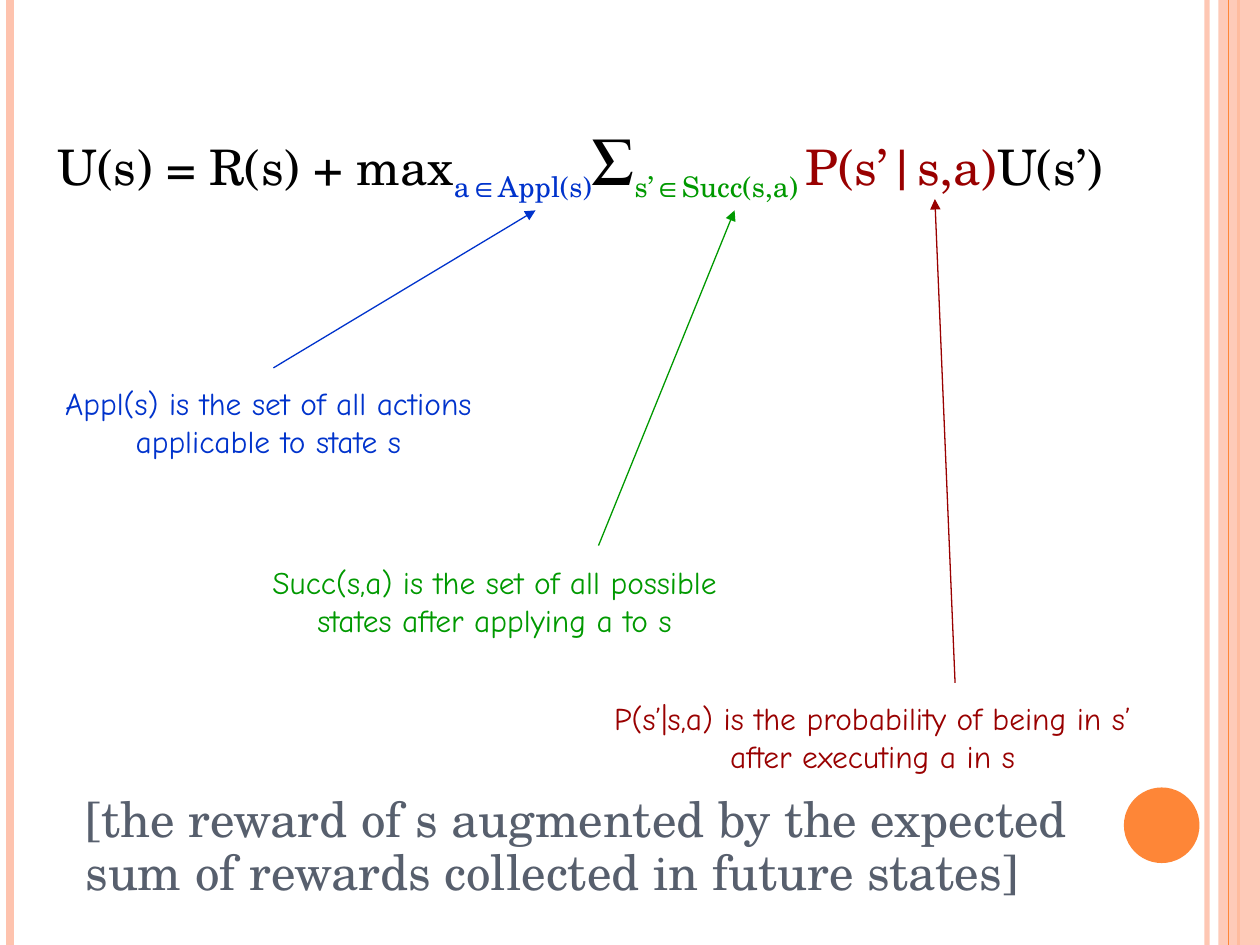
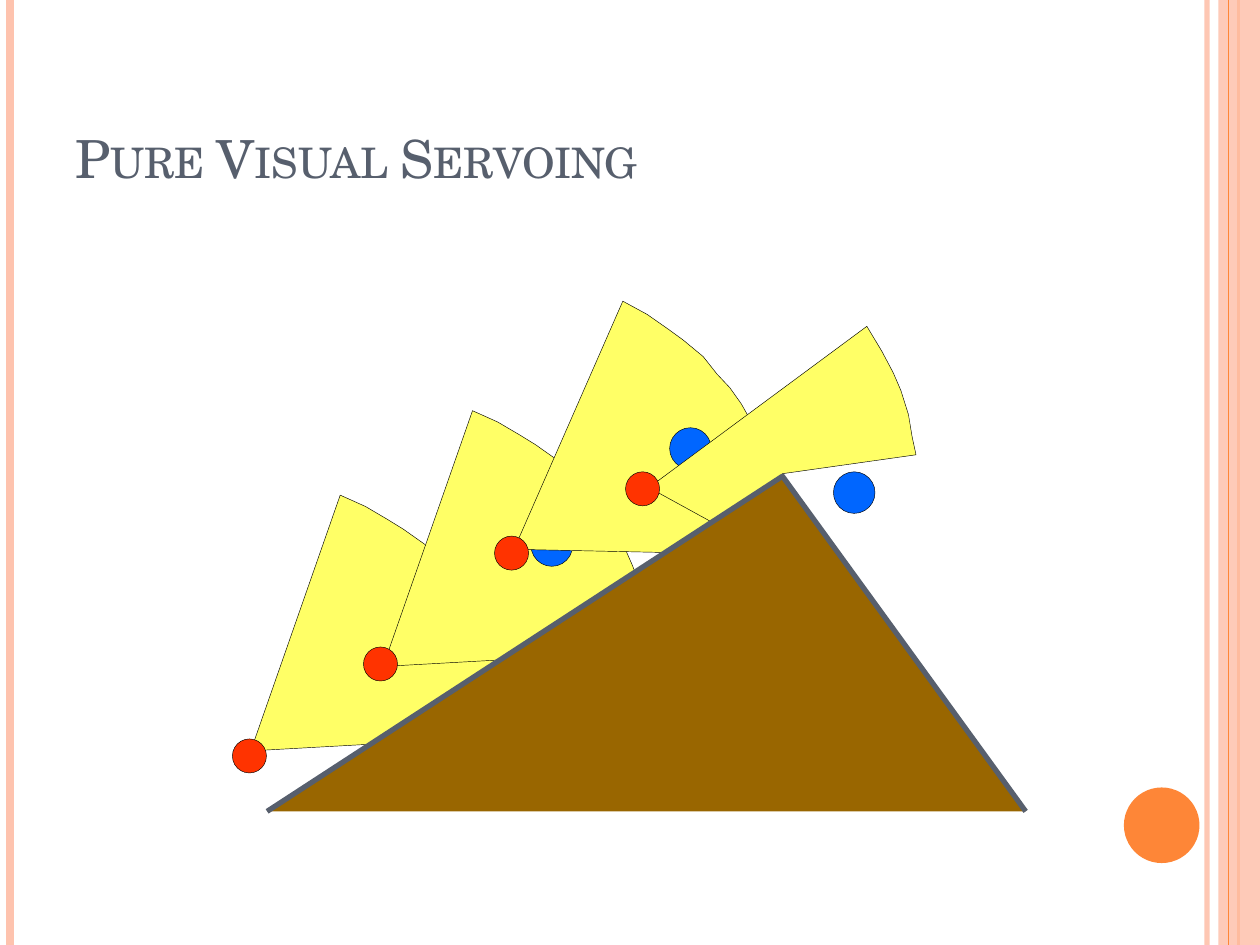
from math import cos, radians, sin

from lxml import etree
from pptx import Presentation
from pptx.dml.color import RGBColor
from pptx.enum.shapes import MSO_CONNECTOR, MSO_SHAPE
from pptx.enum.text import MSO_ANCHOR, PP_ALIGN
from pptx.oxml.ns import qn
from pptx.util import Inches, Pt

LINE, OVAL, RECT = MSO_CONNECTOR.STRAIGHT, MSO_SHAPE.OVAL, MSO_SHAPE.RECTANGLE
TOP, BOTTOM = MSO_ANCHOR.TOP, MSO_ANCHOR.BOTTOM
LEFT, CENTER = PP_ALIGN.LEFT, PP_ALIGN.CENTER

BLACK = RGBColor(0x00, 0x00, 0x00)
PEACH = RGBColor(0xFE, 0xC3, 0xAE)
ORANGE = RGBColor(0xFE, 0x86, 0x37)
SLATE = RGBColor(0x57, 0x5F, 0x6D)
NAVY = RGBColor(0x00, 0x33, 0xCC)
GREEN = RGBColor(0x00, 0x99, 0x00)
MAROON = RGBColor(0x99, 0x00, 0x00)
YELLOW = RGBColor(0xFF, 0xFF, 0x66)
BLUE = RGBColor(0x00, 0x66, 0xFF)
RED = RGBColor(0xFF, 0x33, 0x00)
BROWN = RGBColor(0x99, 0x66, 0x00)

SERIF, HAND = "TeX Gyre Schola", "Comic Neue"
WIDTH, HEIGHT = 10, 7.5

FAN = [(0, 0), (0.71, -2.03), (0.91, -1.94), (1.08, -1.84), (1.21, -1.76),
       (1.38, -1.64), (1.5, -1.51), (1.61, -1.41), (1.71, -1.29),
       (1.81, -1.14), (1.91, -0.96), (1.98, -0.8), (2.06, -0.59),
       (2.1, -0.43), (2.13, -0.26), (2.15, -0.12)]
CUT_FAN = [(0, 0), (1.73, -1.28), (1.85, -1.08), (1.94, -0.91),
           (2, -0.77), (2.06, -0.58), (2.09, -0.4), (2.12, -0.26),
           (1.06, -0.11), (1.13, 0.62)]
VIEWS = [
    (FAN, 0, (1.99, 5.96), (3.33, 5.07), (1.98, 6)),
    (FAN, 0, (3.04, 5.29), (4.38, 4.33), (3.02, 5.27)),
    (FAN, 4.4, (4.08, 4.36), (5.48, 3.56), (4.06, 4.39)),
    (CUT_FAN, 0, (5.15, 3.87), (6.78, 3.91), (5.1, 3.88)),
]


def fade(node, percent):
    """Set the opacity of the first colour inside a node."""
    color = next(node.iter(qn("a:srgbClr")))
    etree.SubElement(color, qn("a:alpha")).set("val", str(percent * 1000))


def paint(shape, fill, line=None, weight=0.25):
    """Give a shape a flat fill and an optional outline."""
    shape.shadow.inherit = False
    shape.fill.solid()
    shape.fill.fore_color.rgb = fill
    if line is None:
        shape.line.fill.background()
    else:
        shape.line.color.rgb = line
        shape.line.width = Pt(weight)
    return shape


def add_line(slide, start, end, color, weight, arrow=False):
    """Draw a straight line between two points."""
    ends = [Inches(v) for v in (*start, *end)]
    link = slide.shapes.add_connector(LINE, *ends)
    link.line.color.rgb = color
    link.line.width = Pt(weight)
    props = link._element.spPr
    if arrow:
        ln = props.find(qn("a:ln"))
        etree.SubElement(ln, qn("a:tailEnd")).set("type", "triangle")
    etree.SubElement(props, qn("a:effectLst"))
    return link


def add_disc(slide, center, size, fill, line=None):
    """Draw a circle around a centre point."""
    x, y = (Inches(v - size / 2) for v in center)
    disc = slide.shapes.add_shape(OVAL, x, y, Inches(size), Inches(size))
    paint(disc, fill, line)


def add_path(slide, points, fill, line, weight, close):
    """Draw an outline through points given in inches."""
    spots = [(Inches(x), Inches(y)) for x, y in points]
    path = slide.shapes.build_freeform(*spots[0])
    path.add_line_segments(spots[1:], close=close)
    paint(path.convert_to_shape(), fill, line, weight)


def add_text(slide, box, text, font, size, color, align=LEFT, anchor=TOP):
    """Add a wrapped text box and return its paragraph."""
    frame = slide.shapes.add_textbox(*map(Inches, box)).text_frame
    frame.word_wrap = True
    frame.vertical_anchor = anchor
    para = frame.paragraphs[0]
    para.text = text
    para.alignment = align
    para.font.name = font
    para.font.size = Pt(size)
    para.font.color.rgb = color
    return para


def add_frame(slide):
    """Draw the bands and the disc that every slide shares."""
    def rule(x, color, weight):
        return add_line(slide, (x, 0), (x, HEIGHT), color, weight)

    fade(rule(9.58, PEACH, 3)._element.spPr, 93)
    rule(0.08, PEACH, 4.5)
    rule(9.83, ORANGE, 1.5)
    band = slide.shapes.add_shape(
        RECT, Inches(9.67), 0, Inches(WIDTH - 9.67), Inches(HEIGHT))
    fade(paint(band, PEACH)._element.spPr, 87)
    rule(9.75, ORANGE, 0.75)
    add_disc(slide, (9.22, 6.55), 0.6, ORANGE)


def add_title(slide, text):
    """Add a title in small capitals."""
    box = (0.5, 0.3, 8.17, 1.25)
    para = add_text(slide, box, text, SERIF, 30, SLATE, anchor=BOTTOM)
    para.runs[0]._r.get_or_add_rPr().set("cap", "small")


def add_sum(slide, box):
    """Write the utility equation with coloured subscripts."""
    para = add_text(slide, box, "", SERIF, 28, BLACK)
    parts = [
        (" U(s) = R(s) + max", BLACK, 28, False),
        ("a∈Appl(s)", NAVY, 28, True),
        ("Σ", BLACK, 36, False),
        ("s’∈Succ(s,a) ", GREEN, 28, True),
        ("P(s’|s,a)", MAROON, 28, False),
        ("U(s’)", BLACK, 28, False),
    ]
    for text, color, size, low in parts:
        run = para.add_run()
        run.text = text
        run.font.size = Pt(size)
        run.font.color.rgb = color
        if low:
            run._r.get_or_add_rPr().set("baseline", "-25000")


def add_view(slide, fan, turn, apex, ball, robot):
    """Draw a field of view with its target ball and its robot."""
    c, s = cos(radians(turn)), sin(radians(turn))
    points = [(apex[0] + x * c - y * s, apex[1] + x * s + y * c)
              for x, y in fan]
    add_path(slide, points, YELLOW, BLACK, 0.25, True)
    add_disc(slide, ball, 0.33, BLUE, BLACK)
    add_disc(slide, robot, 0.27, RED, BLACK)


def build_utility(slide):
    """Build the slide that explains the utility equation."""
    add_frame(slide)
    add_sum(slide, (0.25, 0.92, 9.17, 1.58))
    notes = [
        ("Appl(s) is the set of all actions applicable to state s",
         NAVY, (0.33, 3, 3.6, 0.7), (2.17, 2.92), (4.25, 1.67)),
        ("Succ(s,a) is the set of all possible states after applying a to s",
         GREEN, (1.75, 4.42, 4.35, 0.7), (4.75, 4.33), (5.83, 1.67)),
        ("P(s’|s,a) is the probability of being in s’ after executing a in s",
         MAROON, (4.75, 5.5, 4.35, 0.7), (7.58, 5.42), (7.42, 1.58)),
    ]
    for text, color, box, start, end in notes:
        add_line(slide, start, end, color, 0.75, arrow=True)
        add_text(slide, box, text, HAND, 18, color, CENTER)
    para = add_text(
        slide, (0.58, 6.26, 8.47, 0.94),
        "[the reward of s augmented by the expected \v"
        "sum of rewards collected in future states]", SERIF, 28, SLATE)
    para.line_spacing = 0.9


def build_servo(slide):
    """Build the slide of robots tracking a ball over a hill."""
    add_frame(slide)
    add_title(slide, "Pure Visual Servoing")
    for view in VIEWS:
        add_view(slide, *view)
    hill = [(2.12, 6.44), (6.21, 3.78), (8.14, 6.44)]
    add_path(slide, hill, BROWN, SLATE, 3, False)


def main():
    """Build and save the presentation."""
    deck = Presentation()
    deck.slide_width, deck.slide_height = Inches(WIDTH), Inches(HEIGHT)
    for build in (build_utility, build_servo):
        build(deck.slides.add_slide(deck.slide_layouts[6]))
    deck.save("out.pptx")


if __name__ == "__main__":
    main()
